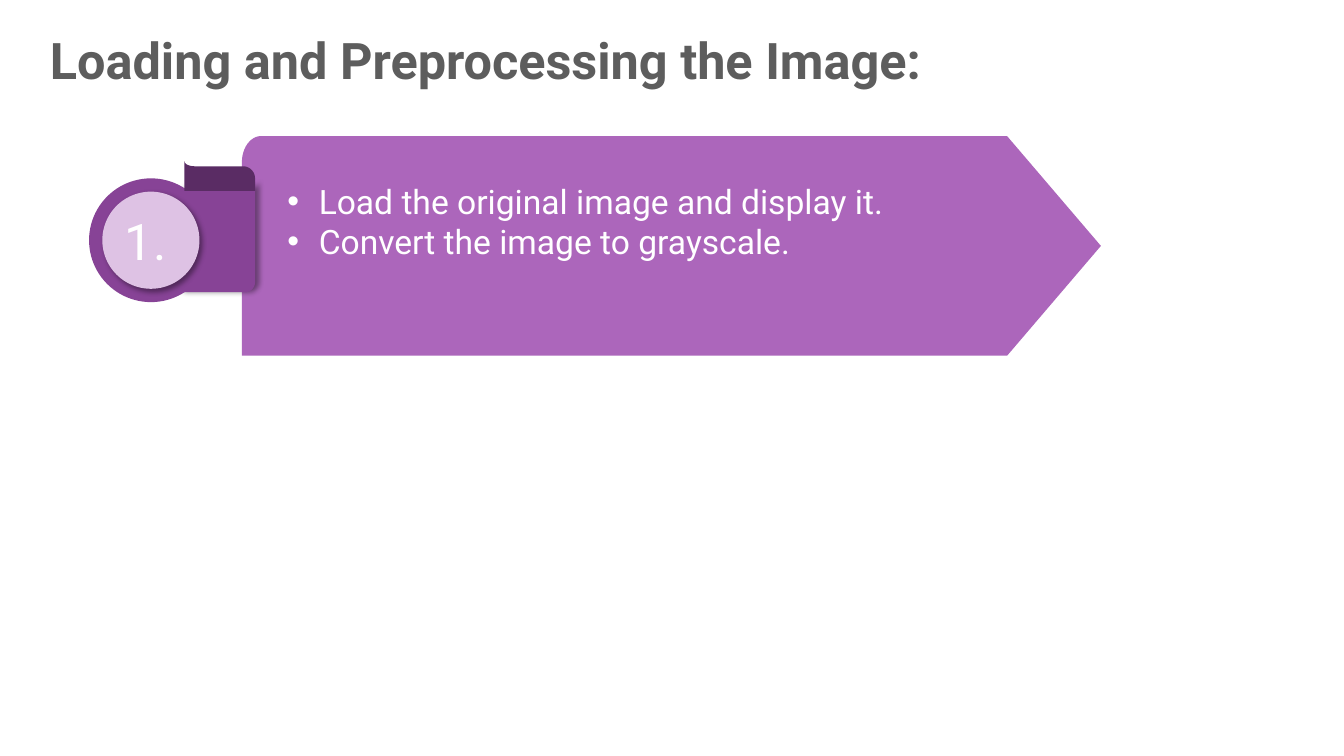
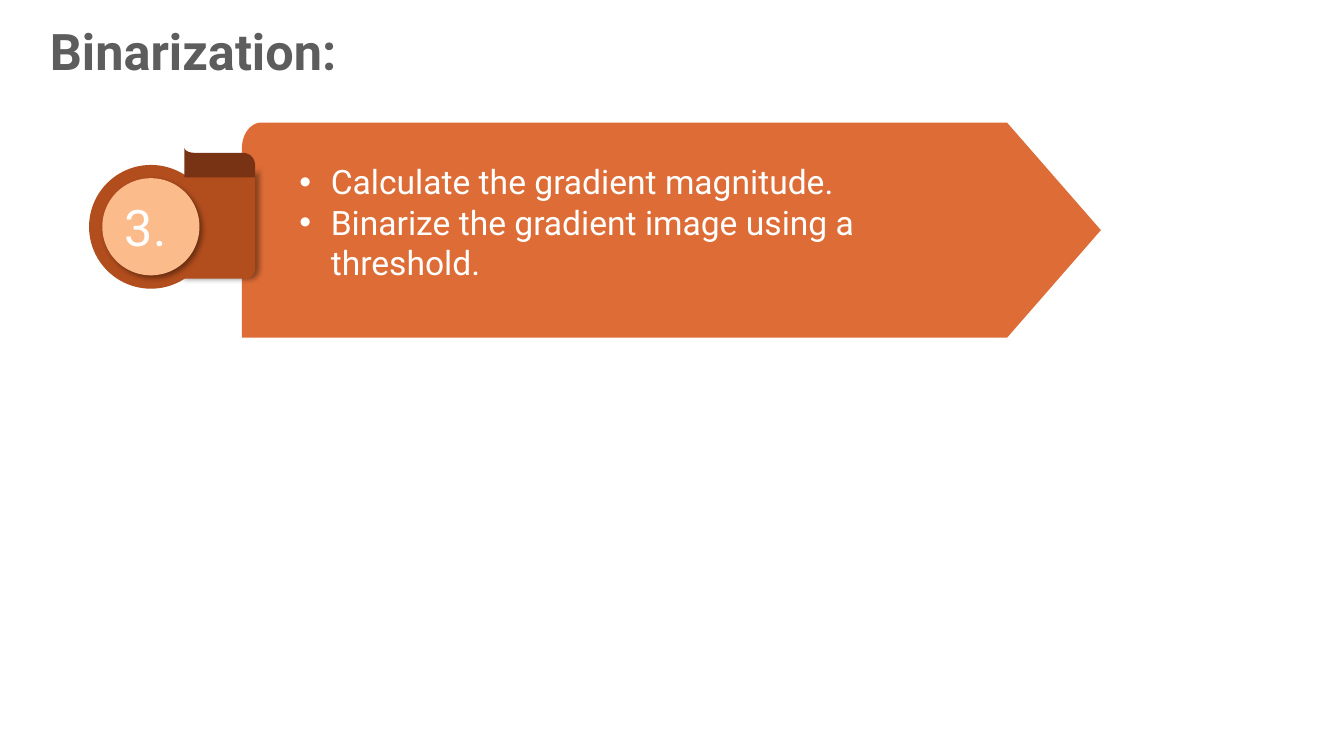
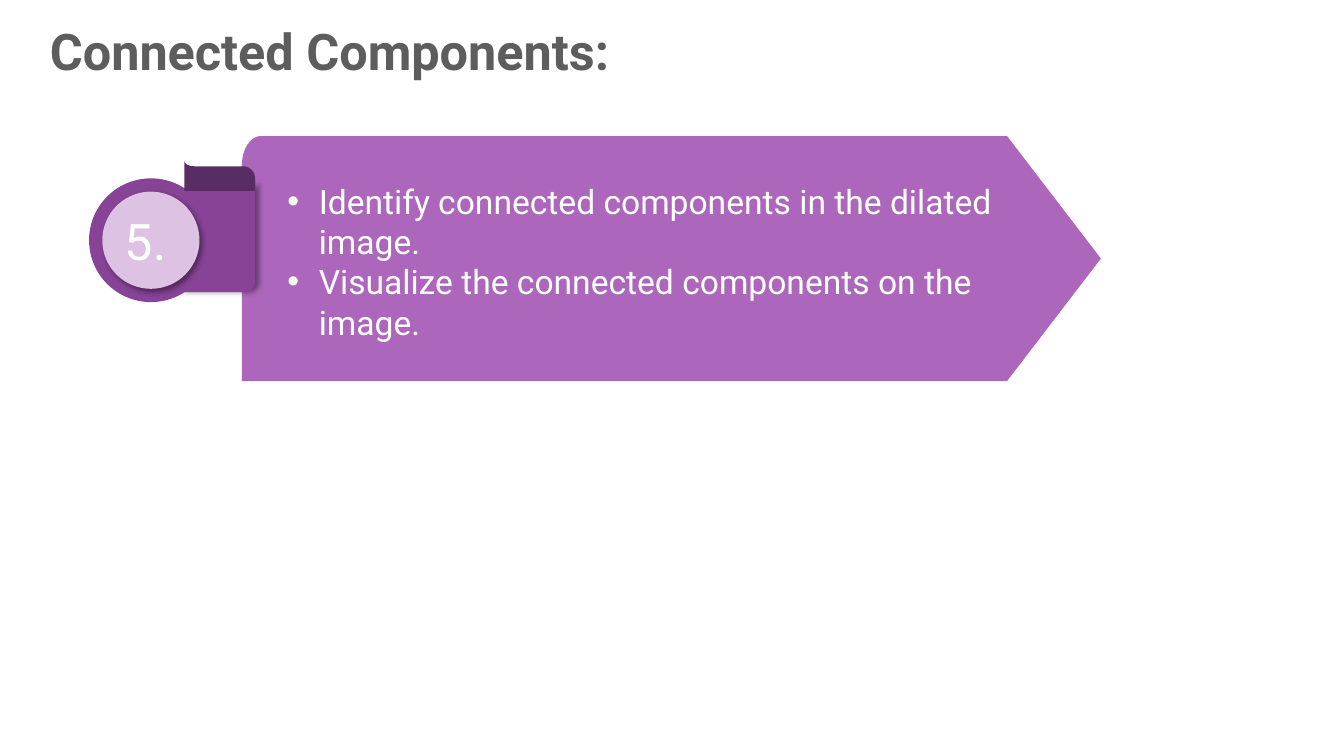
import math

import pptx
import pptx.dml.color
import pptx.enum.shapes
import pptx.enum.text
import pptx.oxml
import pptx.oxml.ns
import pptx.util

Pt = pptx.util.Pt
FONT = "Roboto"
WHITE = "FFFFFF"
TITLE_GREY = "5D5D5D"
PURPLE = {"banner": "AC66BB", "ribbon": "874396", "disc": "DEC2E4", "fold": "5A2C64"}
ORANGE = {"banner": "DE6C36", "ribbon": "B24D1D", "disc": "FCBB8B", "fold": "773313"}
BANNER_LEFT, BANNER_WIDTH = 172.8, 613.6
BADGE_LEFT, BADGE_DROP = 63.6, 18

STEPS = [
    {
        "title": "Loading and Preprocessing the Image:",
        "title_middle": 42.5,
        "number": "1.",
        "palette": PURPLE,
        "banner": (97.2, 156.9),
        "list_box": (198, 125.3, 520.6, 97.2),
        "items": ["Load the original image and display it.", "Convert the image to grayscale."],
    },
    {
        "title": "Binarization:",
        "title_middle": 36,
        "number": "3.",
        "palette": ORANGE,
        "banner": (87.6, 153.6),
        "list_box": (206.6, 111.6, 486.7, 94.3),
        "items": ["Calculate the gradient magnitude.", "Binarize the gradient image using a threshold."],
    },
    {
        "title": "Connected Components:",
        "title_middle": 36,
        "number": "5.",
        "palette": PURPLE,
        "banner": (97.2, 175),
        "list_box": (198, 125.3, 520.6, 145.4),
        "items": [
            "Identify connected components in the dilated image.",
            "Visualize the connected components on the image.",
        ],
    },
]


def color(value):
    return pptx.dml.color.RGBColor.from_string(value)


def place(shape, left, top, width, height):
    shape.left, shape.top = Pt(left), Pt(top)
    shape.width, shape.height = Pt(width), Pt(height)


def add_span(para, text, size, ink, bold=False):
    span = para.add_run()
    span.text = text
    span.font.name = FONT
    span.font.size = Pt(size)
    span.font.bold = bold
    span.font.color.rgb = color(ink)


def paint(shape, fill, shadow_angle=None):
    shape.fill.solid()
    shape.fill.fore_color.rgb = color(fill)
    shape.line.fill.background()
    shape.shadow.inherit = False
    if shadow_angle is not None:
        effects = shape.element.spPr.find(pptx.oxml.ns.qn("a:effectLst"))
        effects.append(pptx.oxml.parse_xml(
            f'<a:outerShdw {pptx.oxml.ns.nsdecls("a")} blurRad="{Pt(4)}" dist="{Pt(3)}" '
            f'dir="{shadow_angle * 60000}" algn="ctr" rotWithShape="0">'
            '<a:srgbClr val="000000"><a:alpha val="40000"/></a:srgbClr></a:outerShdw>'
        ))


def arc(center_x, center_y, radius_x, radius_y, start, end, steps=12):
    angles = [math.radians(start + (end - start) * step / steps) for step in range(steps + 1)]
    return [(center_x + radius_x * math.cos(a), center_y + radius_y * math.sin(a)) for a in angles]


def add_outline(page, left, top, points, fill, shadow_angle=None):
    corners = [(Pt(left + x), Pt(top + y)) for x, y in points]
    builder = page.shapes.build_freeform(*corners[0])
    builder.add_line_segments(corners[1:], close=True)
    paint(builder.convert_to_shape(), fill, shadow_angle)


def add_circle(page, left, top, size, fill, shadow_angle=None):
    circle = page.shapes.add_shape(
        pptx.enum.shapes.MSO_SHAPE.OVAL, Pt(left), Pt(top), Pt(size), Pt(size)
    )
    paint(circle, fill, shadow_angle)
    return circle


def add_banner(page, left, top, width, height, fill):
    tip, corner_x, corner_y = 67, 13.7, height * 0.12
    points = arc(corner_x, corner_y, corner_x, corner_y, 180, 270)
    points += [(width - tip, 0), (width, height / 2), (width - tip, height), (0, height)]
    add_outline(page, left, top, points, fill)


def add_badge(page, left, top, number, palette):
    right, ring_top, ring_size, inset = 118.6, 12.2, 88.4, 9.5
    ribbon = [(64.6, 93.5), (64.6, 19.4)] + arc(right - 6.5, 14.5, 6.5, 4.9, 90, 0)
    ribbon += arc(right - 7.2, 86.3, 7.2, 7.2, 0, 90)
    add_outline(page, left, top, ribbon, palette["ribbon"], 0)

    add_circle(page, left, top + ring_top, ring_size, palette["ribbon"])
    disc = add_circle(
        page, left + inset, top + ring_top + inset, ring_size - 2 * inset, palette["disc"], 45
    )
    frame = disc.text_frame
    frame.word_wrap = False
    frame.margin_left = Pt(6)
    frame.margin_right = frame.margin_top = frame.margin_bottom = 0
    frame.vertical_anchor = pptx.enum.text.MSO_ANCHOR.MIDDLE
    para = frame.paragraphs[0]
    para.alignment = pptx.enum.text.PP_ALIGN.LEFT
    add_span(para, number, 36, WHITE)

    fold = [(right, 21.2), (68.2, 21.2)] + arc(75.4, 0, 7.2, 3.6, 180, 90)
    fold += arc(right - 8.6, 12.2, 8.6, 8.6, -90, 0)
    add_outline(page, left, top, fold, palette["fold"])


def fill_title(title, middle, text):
    place(title, 32, middle - 30, 896, 60)
    frame = title.text_frame
    frame.margin_left = frame.margin_right = Pt(3.6)
    frame.margin_top = frame.margin_bottom = 0
    frame.vertical_anchor = pptx.enum.text.MSO_ANCHOR.MIDDLE
    frame.auto_size = pptx.enum.text.MSO_AUTO_SIZE.NONE
    para = frame.paragraphs[0]
    para.alignment = pptx.enum.text.PP_ALIGN.LEFT
    add_span(para, text, 36, TITLE_GREY, True)


def fill_list(body, box, items):
    place(body, *box)
    body.element.getparent().append(body.element)
    frame = body.text_frame
    frame.auto_size = pptx.enum.text.MSO_AUTO_SIZE.NONE
    frame.vertical_anchor = pptx.enum.text.MSO_ANCHOR.TOP
    for index, item in enumerate(items):
        para = frame.add_paragraph() if index else frame.paragraphs[0]
        para.space_before = Pt(0)
        properties = para._p.get_or_add_pPr()
        properties.set("marL", str(Pt(22.5)))
        properties.set("indent", str(Pt(-22.5)))
        properties.append(pptx.oxml.parse_xml(
            f'<a:buFont {pptx.oxml.ns.nsdecls("a")} typeface="Arial"/>'))
        properties.append(pptx.oxml.parse_xml(
            f'<a:buChar {pptx.oxml.ns.nsdecls("a")} char="•"/>'))
        add_span(para, item, 24, WHITE)


def add_step(deck, step):
    page = deck.slides.add_slide(deck.slide_layouts[1])
    top, height = step["banner"]
    fill_title(page.shapes.title, step["title_middle"], step["title"])
    add_banner(page, BANNER_LEFT, top, BANNER_WIDTH, height, step["palette"]["banner"])
    add_badge(page, BADGE_LEFT, top + BADGE_DROP, step["number"], step["palette"])
    fill_list(page.placeholders[1], step["list_box"], step["items"])


def main():
    deck = pptx.Presentation()
    deck.slide_width, deck.slide_height = Pt(960), Pt(540)
    for step in STEPS:
        add_step(deck, step)
    deck.save("out.pptx")


if __name__ == "__main__":
    main()
